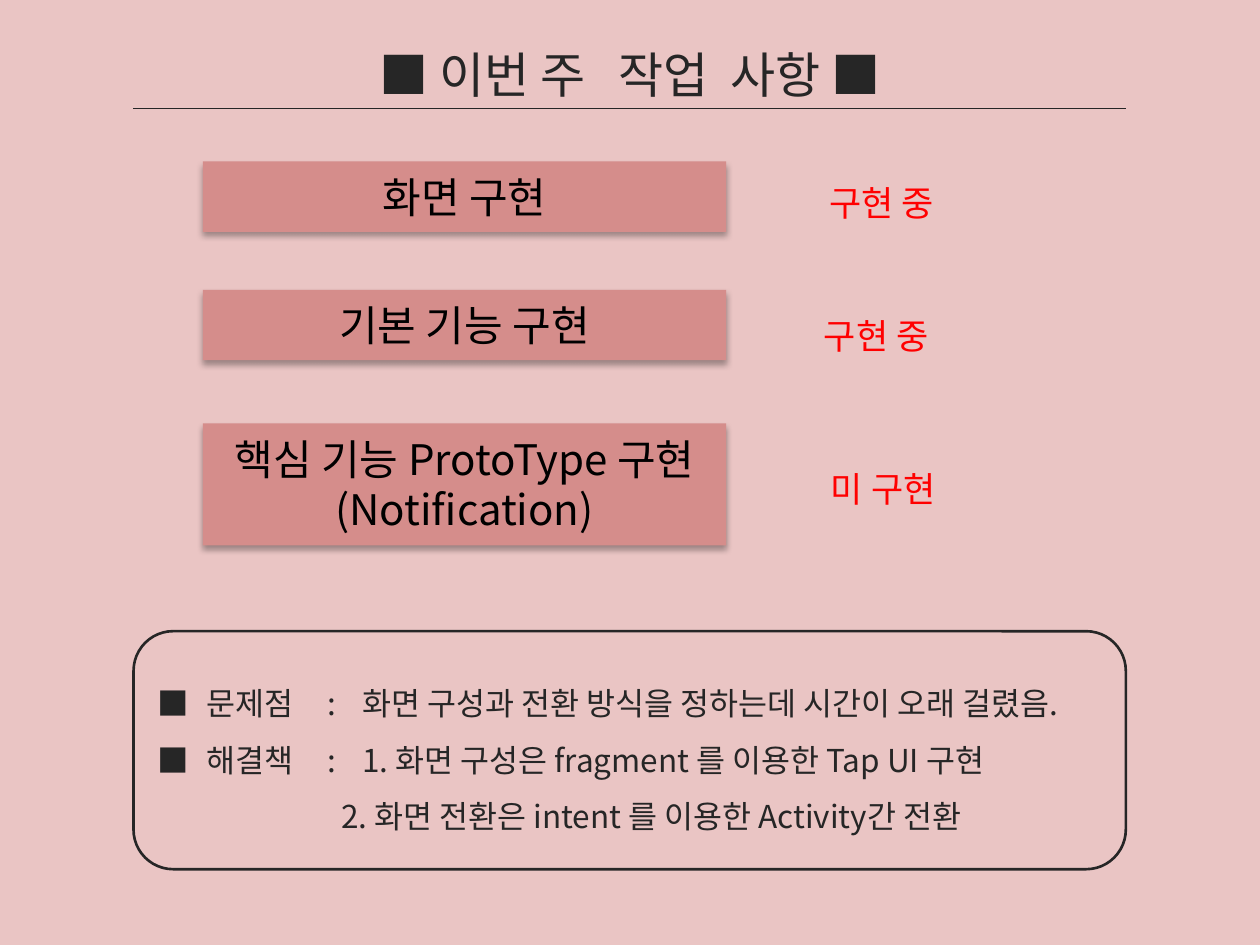
from dataclasses import dataclass

from lxml import etree
from pptx import Presentation
from pptx import util as u
from pptx.dml.color import RGBColor
from pptx.enum import shapes, text
from pptx.oxml.ns import qn


@dataclass(frozen=True)
class Theme:
    font: str = "Noto Sans CJK KR"
    background: str = "EAC5C4"
    task_fill: str = "D58D8B"
    ink: str = "262626"
    task_ink: str = "000000"
    status_ink: str = "FF0000"
    title_size: float = 28
    task_size: float = 24
    status_size: float = 20
    note_size: float = 18


@dataclass(frozen=True)
class Box:
    left: float
    top: float
    width: float
    height: float

    def lengths(self) -> list:
        return [u.Pt(n) for n in (self.left, self.top, self.width, self.height)]


@dataclass(frozen=True)
class Task:
    lines: tuple
    box: Box
    status: str
    status_box: Box


@dataclass(frozen=True)
class Note:
    words: str
    indent: float = 0


THEME = Theme()
TITLE_BOX = Box(154, 21.6, 412, 41)
NOTES_BOX = Box(76.3, 360.7, 567, 136)
RULE_Y = 61.9
NOTE_TABS = (28, 97, 117)  # label, colon, explanation

TASKS = (
    Task(("화면 구현",), Box(116, 92.2, 299, 40.3),
         "구현 중", Box(445, 100, 117.4, 31.5)),
    Task(("기본 기능 구현",), Box(116, 165.6, 299, 40.3),
         "구현 중", Box(441, 176.4, 119.5, 31.5)),
    Task(("핵심 기능 ProtoType 구현", "(Notification)"), Box(116, 241.9, 299, 69.8),
         "미 구현", Box(445, 263.5, 119.5, 31.5)),
)
NOTES = (
    Note("■\t문제점\t:\t화면 구성과 전환 방식을 정하는데 시간이 오래 걸렸음."),
    Note("■\t해결책\t:\t1. 화면 구성은 fragment 를 이용한 Tap UI 구현"),
    Note("2. 화면 전환은 intent 를 이용한 Activity간 전환", indent=105),
)


def color(value: str) -> RGBColor:
    return RGBColor.from_string(value)


def paint(shape, value: str) -> None:
    shape.fill.solid()
    shape.fill.fore_color.rgb = color(value)


def style(paragraph, size: float, ink: str, alignment=text.PP_ALIGN.CENTER) -> None:
    """Set alignment and font for Latin and Korean text."""
    paragraph.alignment = alignment
    font = paragraph.font
    font.name, font.size = THEME.font, u.Pt(size)
    font.color.rgb = color(ink)
    properties = paragraph._p.pPr.find(qn("a:defRPr"))
    etree.SubElement(properties, qn("a:ea"), typeface=THEME.font)


def write(shape, lines: tuple, size: float, ink: str, margin: float = 3.6) -> None:
    """Fill a shape with centred lines starting at its top."""
    frame = shape.text_frame
    frame.word_wrap = True
    frame.auto_size = text.MSO_AUTO_SIZE.NONE
    frame.vertical_anchor = text.MSO_ANCHOR.TOP
    frame.margin_top = frame.margin_bottom = u.Pt(margin)
    frame.text = "\n".join(lines)
    for paragraph in frame.paragraphs:
        style(paragraph, size, ink)


def add_soft_shadow(shape) -> None:
    shape.shadow.inherit = False
    effects = shape._element.spPr.find(qn("a:effectLst"))
    shadow = etree.SubElement(
        effects, qn("a:outerShdw"), blurRad=str(u.Pt(3.5)), dist=str(u.Pt(2.2)),
        dir="5400000", rotWithShape="0")
    tint = etree.SubElement(shadow, qn("a:srgbClr"), val="000000")
    etree.SubElement(tint, qn("a:alpha"), val="32000")


def add_title(slide) -> None:
    title = slide.shapes.title
    title.left, title.top, title.width, title.height = TITLE_BOX.lengths()
    paint(title, THEME.background)
    write(title, ("■ 이번 주   작업  사항 ■",), THEME.title_size, THEME.ink)
    # Rule below the title, as wide as the notes panel
    rule = slide.shapes.add_connector(
        shapes.MSO_CONNECTOR.STRAIGHT, u.Pt(NOTES_BOX.left), u.Pt(RULE_Y),
        u.Pt(NOTES_BOX.left + NOTES_BOX.width), u.Pt(RULE_Y))
    rule.line.color.rgb = color(THEME.ink)
    rule.line.width = u.Pt(0.75)
    etree.SubElement(rule._element.spPr, qn("a:effectLst"))


def add_task(slide, task: Task) -> None:
    bar = slide.shapes.add_shape(shapes.MSO_SHAPE.RECTANGLE, *task.box.lengths())
    paint(bar, THEME.task_fill)
    bar.line.fill.background()
    add_soft_shadow(bar)
    write(bar, task.lines, THEME.task_size, THEME.task_ink, margin=5.8)
    status = slide.shapes.add_textbox(*task.status_box.lengths())
    write(status, (task.status,), THEME.status_size, THEME.status_ink)


def add_notes_panel(slide) -> None:
    panel = slide.shapes.add_shape(
        shapes.MSO_SHAPE.ROUNDED_RECTANGLE, *NOTES_BOX.lengths())
    panel.shadow.inherit = False
    panel.fill.background()
    panel.line.color.rgb = color(THEME.ink)
    panel.line.width = u.Pt(1.5)
    frame = panel.text_frame
    frame.word_wrap = True
    frame.vertical_anchor = text.MSO_ANCHOR.MIDDLE
    frame.text = "\n".join(note.words for note in NOTES)
    for paragraph, note in zip(frame.paragraphs, NOTES):
        paragraph.line_spacing = 1.5
        properties = paragraph._p.get_or_add_pPr()
        if note.indent:
            properties.set("marL", str(u.Pt(note.indent)))
        else:
            stops = etree.SubElement(properties, qn("a:tabLst"))
            for position in NOTE_TABS:
                etree.SubElement(stops, qn("a:tab"), pos=str(u.Pt(position)), algn="l")
        style(paragraph, THEME.note_size, THEME.ink, text.PP_ALIGN.LEFT)


def main() -> None:
    presentation = Presentation()
    presentation.slide_width, presentation.slide_height = u.Pt(720), u.Pt(540)
    slide = presentation.slides.add_slide(presentation.slide_layouts[5])
    paint(slide.background, THEME.background)
    add_title(slide)
    for task in TASKS:
        add_task(slide, task)
    add_notes_panel(slide)
    presentation.save("out.pptx")


if __name__ == "__main__":
    main()
